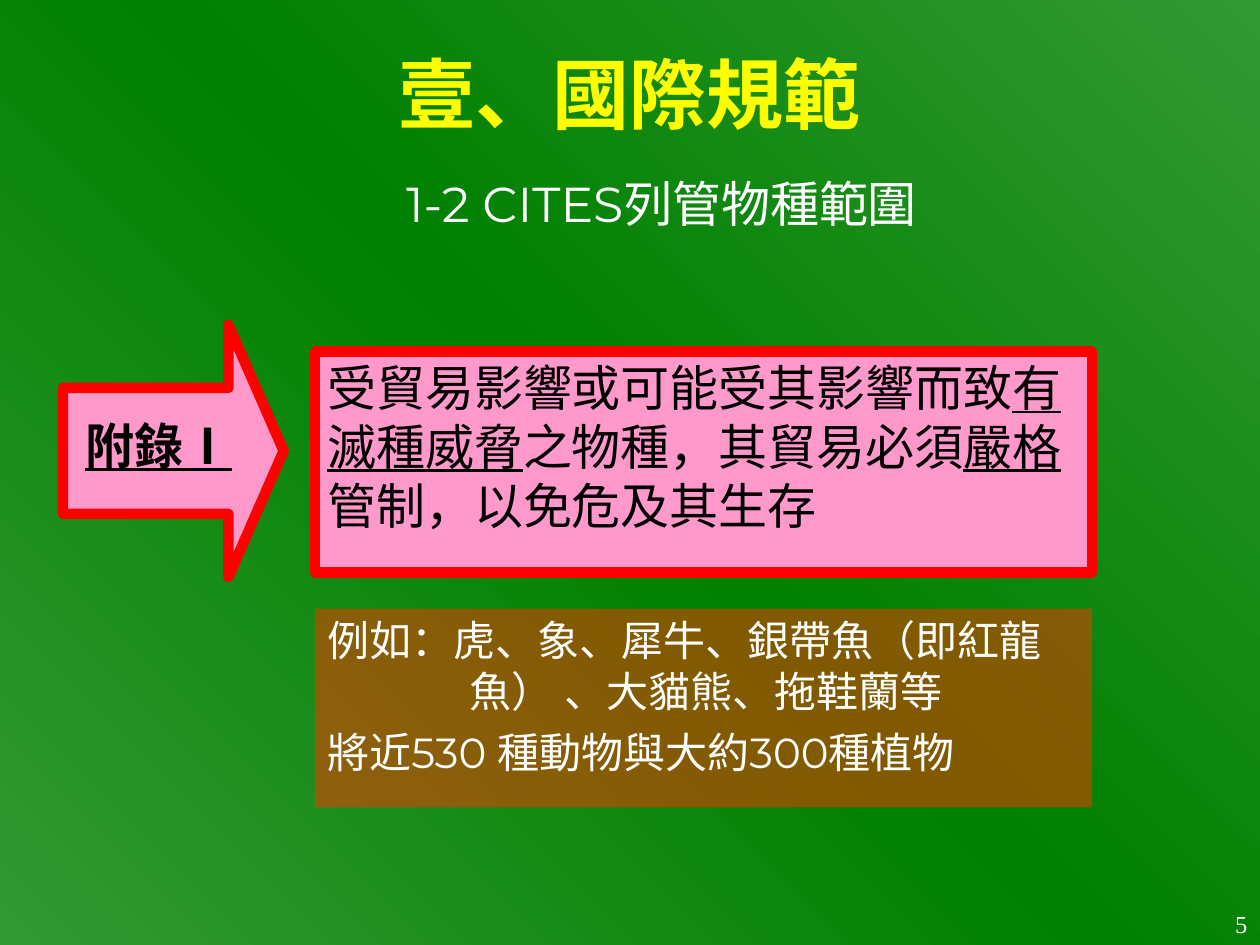
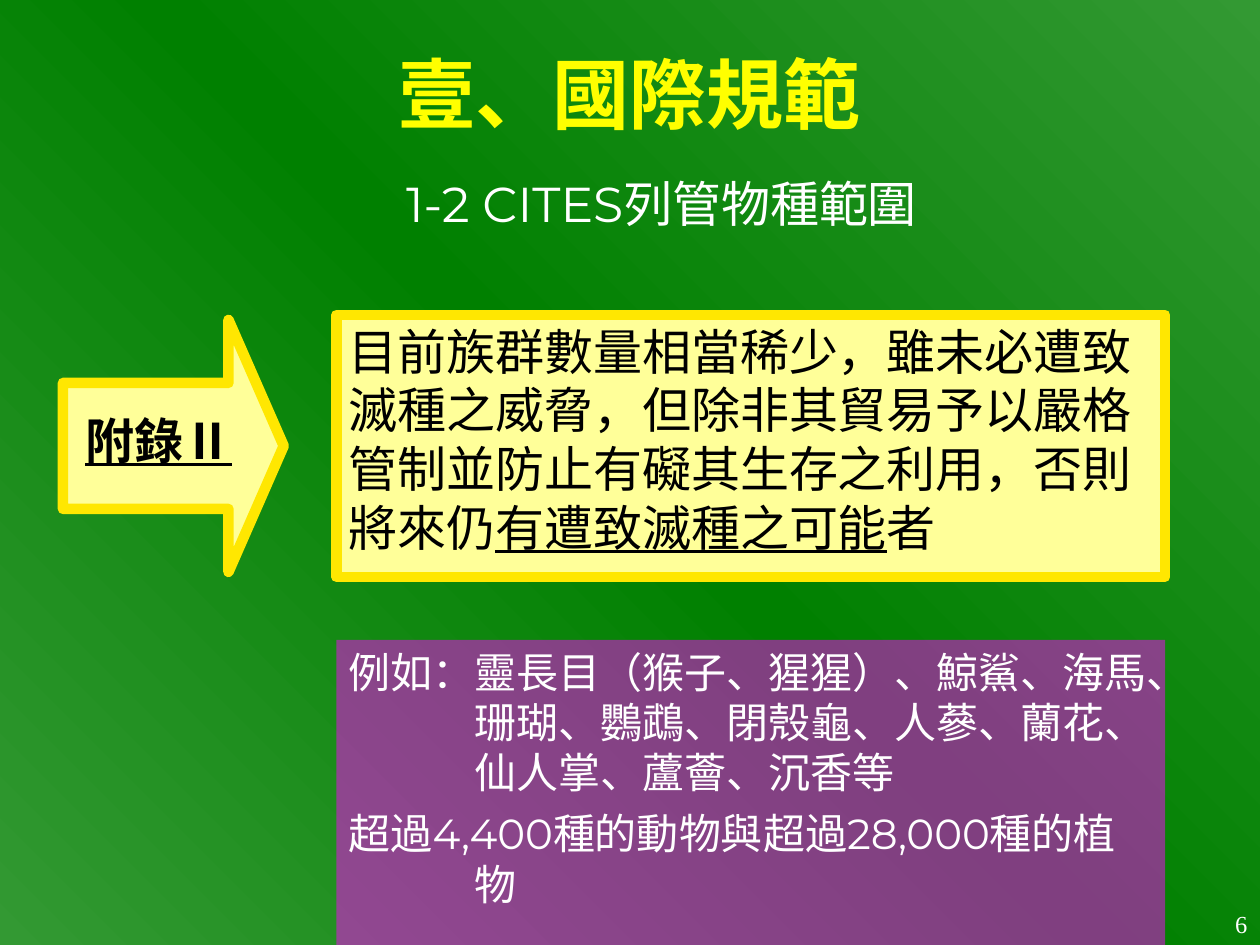
"""Build two slides on the species listed in the CITES appendices."""

from copy import deepcopy
from dataclasses import dataclass
from typing import Optional

from lxml.etree import SubElement
from pptx import Presentation
from pptx.dml.color import RGBColor
from pptx.enum.shapes import MSO_SHAPE
from pptx.enum.text import MSO_ANCHOR, MSO_AUTO_SIZE, PP_ALIGN
from pptx.oxml.ns import qn
from pptx.util import Cm, Pt

GREEN_LIGHT = RGBColor(0x33, 0x99, 0x33)
GREEN_DARK = RGBColor(0x00, 0x80, 0x00)
YELLOW = RGBColor(0xFF, 0xFF, 0x00)
WHITE = RGBColor(0xFF, 0xFF, 0xFF)
BLACK = RGBColor(0x00, 0x00, 0x00)
PINK = RGBColor(0xFF, 0x99, 0xCC)
RED = RGBColor(0xFF, 0x00, 0x00)
ORANGE = RGBColor(0xFF, 0x33, 0x00)
CREAM = RGBColor(0xFF, 0xFF, 0x99)
GOLD = RGBColor(0xFF, 0xE7, 0x01)
MAGENTA = RGBColor(0xFF, 0x00, 0xFF)

TITLE = "壹、國際規範"
SUBTITLE = "1-2 CITES列管物種範圍"


@dataclass(frozen=True)
class Area:
    """A rectangle on the slide, in centimetres."""

    left: float
    top: float
    width: float
    height: float

    def lengths(self) -> tuple:
        """Return left, top, width and height as lengths."""
        return Cm(self.left), Cm(self.top), Cm(self.width), Cm(self.height)


@dataclass(frozen=True)
class Span:
    """A stretch of text with or without underline."""

    text: str
    underline: Optional[bool] = None


@dataclass(frozen=True)
class Style:
    """The look of a paragraph."""

    size: int
    color: RGBColor
    bold: bool = False
    underline: bool = False
    font: str = "Montserrat"
    align: PP_ALIGN = PP_ALIGN.LEFT
    hanging: float = 0


@dataclass(frozen=True)
class Appendix:
    """The content, colours and places of one appendix slide."""

    number: int
    label: str
    fill: RGBColor
    border: RGBColor
    arrow_top: float
    rule_area: Area
    rule: tuple
    example_area: Area
    example_fill: RGBColor
    example_hanging: float
    examples: tuple


TITLE_AREA = Area(1.27, 0.76, 22.86, 2.21)
SUBTITLE_AREA = Area(3.81, 3.38, 19.05, 1.7)
NUMBER_AREA = Area(23.93, 18.21, 1.47, 0.84)

TITLE_STYLE = Style(44, YELLOW, bold=True, align=PP_ALIGN.CENTER)
SUBTITLE_STYLE = Style(28, WHITE, align=PP_ALIGN.CENTER, hanging=0.97)
LABEL_STYLE = Style(28, BLACK, bold=True, underline=True)
RULE_STYLE = Style(28, BLACK)
NUMBER_STYLE = Style(14, WHITE, font="Times New Roman", align=PP_ALIGN.RIGHT)

APPENDICES = (
    Appendix(
        5, "附錄Ⅰ", PINK, RED, 6.55,
        Area(6.35, 7.09, 15.67, 4.45),
        (
            Span("受貿易影響或可能受其影響而致"),
            Span("有滅種威脅", True),
            Span("之物種，其貿易必須"),
            Span("嚴格", True),
            Span("管制，以免危及其生存"),
        ),
        Area(6.35, 12.27, 15.67, 4.01), ORANGE, 2.87,
        (
            "例如：虎、象、犀牛、銀帶魚（即紅龍魚） 、大貓熊、拖鞋蘭等",
            "將近530 種動物與大約300種植物",
        ),
    ),
    Appendix(
        6, "附錄Ⅱ", CREAM, GOLD, 6.45,
        Area(6.78, 6.35, 16.71, 5.28),
        (
            Span("目前族群數量相當稀少，雖未必遭致滅種之威脅，"
                 "但除非其貿易予以嚴格管制並防止有礙其生存之利用，否則將來仍"),
            Span("有遭致滅種之可能", True),
            Span("者"),
        ),
        Area(6.78, 12.9, 16.71, 6.15), MAGENTA, 2.54,
        (
            "例如：靈長目（猴子、猩猩）、鯨鯊、海馬、珊瑚、鸚鵡、閉殼龜、"
            "人蔘、蘭花、仙人掌、蘆薈、沉香等",
            "超過4,400種的動物與超過28,000種的植物",
        ),
    ),
)


def paint_background(deck) -> None:
    """Give the master a diagonal gradient, dark in the middle."""
    fill = deck.slide_master.background.fill
    fill.gradient()
    fill.gradient_angle = 45
    first = fill.gradient_stops[0]._gs
    first.addnext(deepcopy(first))
    colors = (GREEN_LIGHT, GREEN_DARK, GREEN_LIGHT)
    for stop, color, position in zip(fill.gradient_stops, colors, (0, 0.5, 1)):
        stop.color.rgb = color
        stop.position = position


def write(frame, paragraphs: tuple, style: Style, anchor=MSO_ANCHOR.TOP) -> None:
    """Fill a text frame with paragraphs, each a tuple of spans."""
    frame.word_wrap = True
    frame.auto_size = MSO_AUTO_SIZE.NONE
    frame.vertical_anchor = anchor
    for index, spans in enumerate(paragraphs):
        para = frame.add_paragraph() if index else frame.paragraphs[0]
        para.alignment = style.align
        para.space_before = Pt(6 if index else 0)
        properties = para._p.get_or_add_pPr()
        properties.set("marL", str(Cm(style.hanging)))
        properties.set("indent", str(-Cm(style.hanging)))
        para.font.size = Pt(style.size)
        para.font.bold = style.bold
        para.font.underline = style.underline
        para.font.color.rgb = style.color
        para.font.name = style.font
        east_asian = SubElement(para.font._element, qn("a:ea"))
        east_asian.set("typeface", style.font)
        for span in spans:
            run = para.add_run()
            run.text = span.text
            if span.underline:
                run.font.underline = True


def add_text(page, area: Area, text: str, style: Style) -> None:
    """Add a text box with one paragraph."""
    box = page.shapes.add_textbox(*area.lengths())
    write(box.text_frame, ((Span(text),),), style)


def add_block(page, kind: MSO_SHAPE, area: Area, fill: RGBColor,
              border: Optional[RGBColor] = None):
    """Add a filled shape, with a thick border where a colour is given."""
    block = page.shapes.add_shape(kind, *area.lengths())
    block.shadow.inherit = False
    block.fill.solid()
    block.fill.fore_color.rgb = fill
    if border is None:
        block.line.fill.background()
    else:
        block.line.color.rgb = border
        block.line.width = Pt(6)
    return block


def make_half_transparent(block) -> None:
    """Let half of the background show through a solid fill."""
    color = block._element.spPr.find(qn("a:solidFill")).find(qn("a:srgbClr"))
    SubElement(color, qn("a:alpha")).set("val", "50000")


def add_appendix(deck, appendix: Appendix) -> None:
    """Add the slide of one appendix."""
    page = deck.slides.add_slide(deck.slide_layouts[5])
    title = page.shapes.title
    title.left, title.top, title.width, title.height = TITLE_AREA.lengths()
    write(title.text_frame, ((Span(TITLE),),), TITLE_STYLE, MSO_ANCHOR.MIDDLE)
    add_text(page, SUBTITLE_AREA, SUBTITLE, SUBTITLE_STYLE)

    examples = add_block(page, MSO_SHAPE.RECTANGLE, appendix.example_area,
                         appendix.example_fill)
    make_half_transparent(examples)
    write(examples.text_frame, tuple((Span(text),) for text in appendix.examples),
          Style(24, WHITE, hanging=appendix.example_hanging))

    arrow_area = Area(1.27, appendix.arrow_top, 4.45, 5.08)
    arrow = add_block(page, MSO_SHAPE.RIGHT_ARROW, arrow_area,
                      appendix.fill, appendix.border)
    arrow.adjustments[0] = 0.5
    arrow.adjustments[1] = 0.25
    label_area = Area(1.47, appendix.arrow_top + 1.7, 3.61, 1.7)
    add_text(page, label_area, appendix.label, LABEL_STYLE)

    rule = add_block(page, MSO_SHAPE.RECTANGLE, appendix.rule_area,
                     appendix.fill, appendix.border)
    write(rule.text_frame, (appendix.rule,), RULE_STYLE)
    add_text(page, NUMBER_AREA, str(appendix.number), NUMBER_STYLE)


def main() -> None:
    """Build and save the deck."""
    deck = Presentation()
    deck.slide_width, deck.slide_height = Cm(25.4), Cm(19.05)
    paint_background(deck)
    for appendix in APPENDICES:
        add_appendix(deck, appendix)
    deck.save("out.pptx")


if __name__ == "__main__":
    main()
